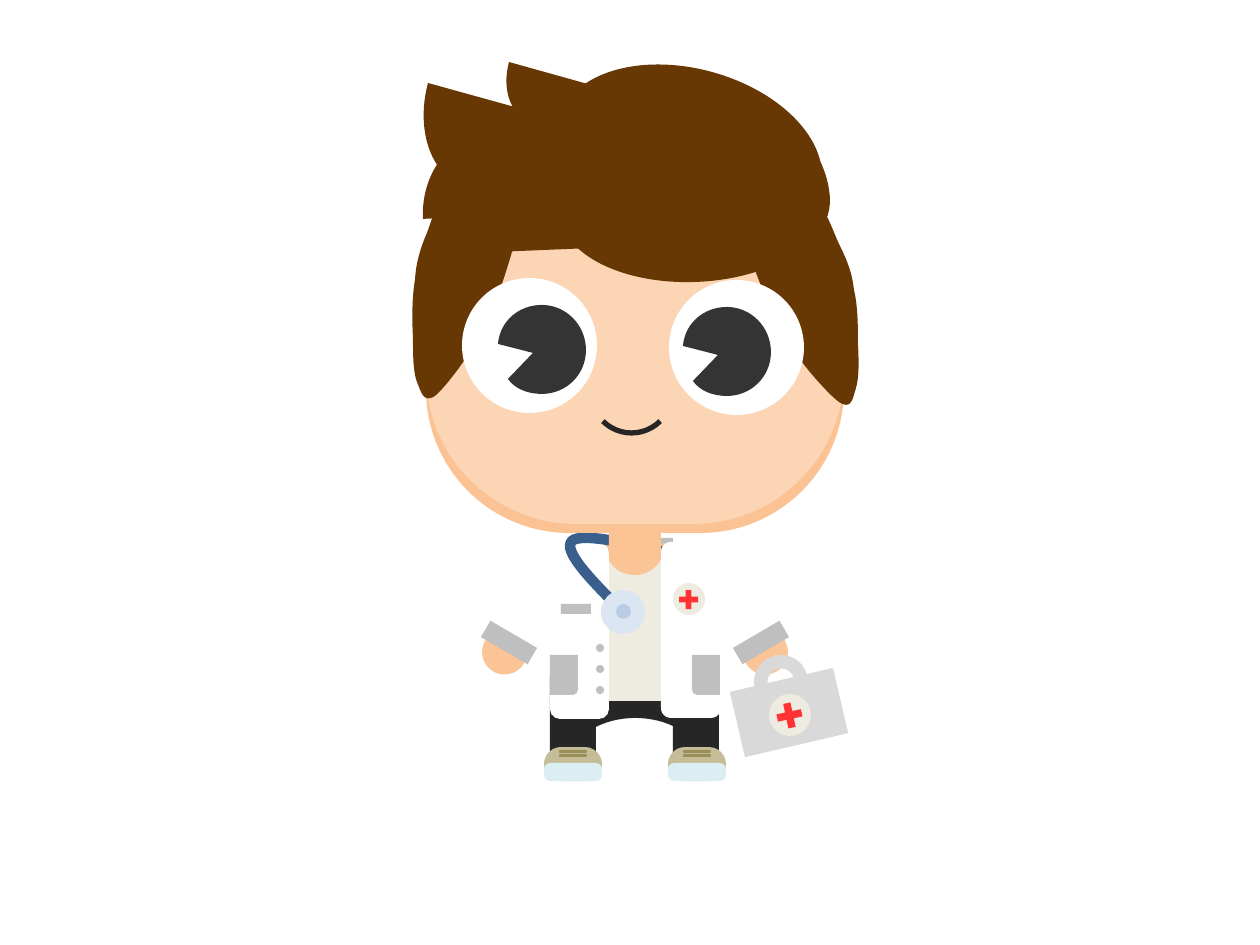
"""Build a slide showing a cartoon doctor with a first-aid case."""
import math
from dataclasses import dataclass, replace

from lxml import etree
from pptx import Presentation
from pptx import util as u
from pptx.dml.color import RGBColor
from pptx.enum import shapes as kinds
from pptx.oxml.ns import qn

PX = 914400 / 126
MIRROR_SUM = 1270
CURVE_STEPS = 24

WHITE = RGBColor(0xFF, 0xFF, 0xFF)
SILVER = RGBColor(0xBF, 0xBF, 0xBF)
CASE_GREY = RGBColor(0xD9, 0xD9, 0xD9)
CREAM = RGBColor(0xEE, 0xEC, 0xE1)
BLACK = RGBColor(0x26, 0x26, 0x26)
PUPIL = RGBColor(0x34, 0x34, 0x34)
SKIN = RGBColor(0xFC, 0xD5, 0xB5)
JAW = RGBColor(0xFB, 0xC2, 0x93)
HAND = RGBColor(0xFB, 0xC4, 0x97)
HAIR = RGBColor(0x68, 0x38, 0x04)
SHOE = RGBColor(0xC4, 0xBD, 0x97)
SOLE = RGBColor(0xDB, 0xEE, 0xF4)
LACE = RGBColor(0x9A, 0x8F, 0x58)
TUBE = RGBColor(0x3A, 0x5F, 0x8C)
DISC = RGBColor(0xDC, 0xE6, 0xF2)
DISC_CORE = RGBColor(0xB9, 0xCD, 0xE5)
RED = RGBColor(0xFF, 0x33, 0x33)

RECT = kinds.MSO_SHAPE.RECTANGLE
ROUND = kinds.MSO_SHAPE.ROUNDED_RECTANGLE
OVAL = kinds.MSO_SHAPE.OVAL
CROSS = kinds.MSO_SHAPE.CROSS
ARC = kinds.MSO_SHAPE.ARC
HANDLE = kinds.MSO_SHAPE.BLOCK_ARC


@dataclass(frozen=True)
class Part:
    """A preset shape, placed in px."""
    kind: kinds.MSO_SHAPE
    left: int
    top: int
    width: int
    height: int
    color: RGBColor
    corner: float | None = None
    rotation: float = 0
    stroke: float = 0

    def shifted(self, dx: int, dy: int = 0) -> "Part":
        return replace(self, left=self.left + dx, top=self.top + dy)

    def mirrored(self) -> "Part":
        return replace(self, left=MIRROR_SUM - self.left - self.width,
                       rotation=-self.rotation % 360)


@dataclass(frozen=True)
class Outline:
    """A path in px: pairs are line ends, sixes are Bezier curves."""
    color: RGBColor
    steps: tuple[tuple[int, ...], ...]
    rotation: float = 0
    stroke: float = 0

    def shifted(self, dx: int, dy: int = 0) -> "Outline":
        return replace(self, steps=tuple(
            tuple(v + (dy if i % 2 else dx) for i, v in enumerate(step)) for step in self.steps))

    def mirrored(self) -> "Outline":
        return replace(self, rotation=-self.rotation % 360, steps=tuple(
            tuple(v if i % 2 else MIRROR_SUM - v for i, v in enumerate(step))
            for step in self.steps))


LEGS = [Part(ROUND, 551, 654, 45, 127, JAW, 0.5), Part(ROUND, 550, 654, 46, 121, BLACK, 0.5)]
TROUSERS = Outline(BLACK, (
    (551, 674), (721, 674), (718, 694, 708, 712, 693, 725), (683, 731), (680, 730),
    (668, 722, 651, 718, 635, 718), (619, 718, 604, 722, 590, 730), (588, 731), (578, 725),
    (563, 712, 553, 694, 551, 674)))
SHIRT = [Part(ROUND, 551, 544, 170, 152, CREAM, 0.208),
         Part(RECT, 551, 667, 170, 21, CREAM), Part(RECT, 551, 688, 170, 13, CREAM)]
NECKLINE = Outline(HAND, (
    (605, 544), (665, 544), (665, 562, 651, 575, 635, 575), (617, 575, 605, 562, 605, 544)))
FOOT = [Part(ROUND, 544, 747, 58, 34, SHOE, 0.5), Part(ROUND, 544, 763, 58, 18, SOLE, 0.341),
        Part(ROUND, 559, 750, 28, 3, LACE, 0.5), Part(ROUND, 559, 754, 28, 3, LACE, 0.5)]
ARM = [Part(ROUND, 500, 559, 45, 120, HAND, 0.5, 208.5),
       Outline(WHITE, ((563, 600), (518, 575), (530, 552, 552, 538, 564, 544),
                       (577, 552, 576, 576, 563, 600)), 208.5),
       Part(RECT, 499, 578, 52, 78, WHITE, rotation=29.7),
       Part(RECT, 482, 633, 54, 19, SILVER, rotation=30.3)]
STETHOSCOPE = Outline(TUBE, (
    (625, 614), (593, 582, 562, 551, 572, 541), (582, 532, 633, 544, 683, 557)), 347.4, 6)
POCKET = Outline(SILVER, (
    (550, 655), (578, 655), (578, 690), (578, 692, 576, 695, 573, 695), (550, 695), (550, 655)))
BUTTONS = [Part(OVAL, 596, 644 + 21 * row, 8, 8, SILVER) for row in range(3)]
FACE = [Part(ROUND, 426, 168, 418, 365, JAW, 0.393), Part(ROUND, 426, 141, 418, 383, SKIN, 0.393)]
HAIR_PARTS = [
    Outline(HAIR, (
        (839, 244), (847, 260, 852, 272, 854, 290), (858, 306, 858, 329, 858, 345),
        (859, 362, 859, 378, 856, 388), (853, 397, 852, 411, 839, 402),
        (828, 394, 800, 363, 784, 336), (769, 310, 752, 262, 746, 246),
        (740, 228, 735, 242, 746, 233), (756, 226, 793, 197, 808, 198),
        (823, 199, 832, 229, 839, 244)), 3.2),
    Outline(HAIR, (
        (427, 233), (420, 249, 416, 263, 415, 280), (412, 297, 412, 320, 413, 338),
        (413, 354, 413, 372, 417, 382), (421, 391, 423, 404, 435, 396),
        (446, 387, 471, 354, 485, 326), (499, 299, 513, 249, 518, 231),
        (524, 213, 528, 227, 518, 218), (508, 210, 470, 181, 455, 184),
        (441, 185, 433, 217, 427, 233)), 354.2),
    Part(OVAL, 559, 130, 271, 152, HAIR, rotation=357.4),
    Outline(HAIR, ((830, 200), (423, 219), (421, 174, 449, 137, 484, 136), (762, 122),
                   (798, 121, 828, 156, 830, 200)), 357.4),
    Outline(HAIR, ((736, 242), (498, 252), (496, 227, 512, 205, 533, 204), (696, 197),
                   (716, 195, 735, 215, 736, 242)), 357.4),
    Part(OVAL, 554, 69, 271, 171, HAIR, rotation=15.4),
    Outline(HAIR, ((822, 192), (428, 83), (415, 131, 432, 178, 466, 186), (735, 261),
                   (770, 271, 808, 239, 822, 192)), 15.4),
    Outline(HAIR, ((738, 126), (509, 62), (501, 91, 512, 117, 532, 123), (688, 166),
                   (708, 171, 731, 151, 738, 126)), 15.4),
]
EYE = Part(OVAL, 462, 278, 135, 135, WHITE)
IRIS = Outline(PUPIL, (
    (542, 305), (566, 305, 586, 325, 586, 350), (586, 375, 566, 394, 542, 394),
    (528, 394, 515, 389, 508, 379), (533, 353), (498, 344), (500, 321, 519, 305, 542, 305)))
MOUTH = [Part(ROUND, 600, 408, 72, 55, SKIN),
         Part(ARC, 591, 352, 81, 81, BLACK, rotation=135, stroke=3)]
BADGE = [Part(OVAL, 673, 583, 32, 32, CREAM), Part(CROSS, 679, 590, 19, 19, RED, 0.352)]
CASE = [Part(RECT, 736, 679, 106, 67, CASE_GREY, rotation=346.9),
        Part(HANDLE, 754, 655, 54, 54, CASE_GREY, rotation=346.9),
        Part(OVAL, 769, 694, 42, 42, CREAM, rotation=348),
        Part(CROSS, 777, 703, 25, 25, RED, 0.352, 348)]
CHEST_PIECE = [Part(OVAL, 601, 590, 44, 44, DISC), Part(OVAL, 616, 604, 15, 15, DISC_CORE)]

DOCTOR = [
    Part(RECT, 600, 538, 73, 15, SILVER),
    *(part.shifted(dx) for part in LEGS for dx in (123, 0)),
    TROUSERS, *SHIRT, NECKLINE,
    *(part.shifted(dx) for dx in (0, 124) for part in FOOT),
    Part(ROUND, 550, 543, 59, 176, WHITE),
    *ARM, STETHOSCOPE, *(part.mirrored() for part in ARM),
    Part(ROUND, 661, 542, 60, 176, WHITE), Part(ROUND, 609, 479, 52, 81, JAW, 0.083),
    POCKET, POCKET.mirrored(), Part(RECT, 561, 604, 30, 10, SILVER), *BUTTONS,
    *FACE, *HAIR_PARTS, EYE, IRIS, EYE.shifted(207, 2), IRIS.shifted(185, 2),
    *MOUTH, *BADGE, *CASE, *CHEST_PIECE,
]


def emu(px: float) -> u.Emu:
    return u.Emu(round(px * PX))


def curve_points(a: complex, b: complex, c: complex, d: complex) -> list[complex]:
    """Sample a Bezier curve to find how far it reaches."""
    ratios = [n / CURVE_STEPS for n in range(CURVE_STEPS + 1)]
    return [a * (1 - t)**3 + 3 * b * (1 - t)**2 * t + 3 * c * (1 - t) * t * t + d * t**3
            for t in ratios]


def add_part(group, part: Part):
    """Add a preset shape to the group."""
    shape = group.shapes.add_shape(
        part.kind, *map(emu, (part.left, part.top, part.width, part.height)))
    if part.corner is not None:
        shape.adjustments[0] = part.corner
    return shape


def add_outline(group, outline: Outline):
    """Add a curved freeform in its unturned frame, centred where its turned path belongs."""
    angle = math.radians(outline.rotation)
    turn = complex(math.cos(angle), math.sin(angle))
    steps = [[complex(*step[i:i + 2]) * turn.conjugate() * PX for i in range(0, len(step), 2)]
             for step in outline.steps]
    reach = [step[-1] for step in steps]
    for before, step in zip(steps, steps[1:]):
        if len(step) == 3:
            reach += curve_points(before[-1], *step)
    xs, ys = [p.real for p in reach], [p.imag for p in reach]
    origin = complex(min(xs), min(ys))
    size = complex(max(xs), max(ys)) - origin
    corner = (origin + size / 2) * turn - size / 2

    builder = group.shapes.build_freeform(*map(round, (corner.real, corner.imag)))
    end = corner + size
    builder.add_line_segments([(round(end.real), round(end.imag))], close=False)
    shape = builder.convert_to_shape()
    path = next(shape.element.iter(qn("a:path")))
    for child in list(path):
        path.remove(child)
    for index, step in enumerate(steps):
        tag = "a:cubicBezTo" if len(step) == 3 else "a:lnTo" if index else "a:moveTo"
        segment = etree.SubElement(path, qn(tag))
        for point in (p - origin for p in step):
            etree.SubElement(segment, qn("a:pt"),
                             x=str(round(point.real)), y=str(round(point.imag)))
    if not outline.stroke:
        etree.SubElement(path, qn("a:close"))
    return shape


def paint(shape, item: Part | Outline) -> None:
    """Apply rotation and either a stroke or a fill."""
    shape.shadow.inherit = False
    shape.rotation = item.rotation
    if item.stroke:
        shape.fill.background()
        shape.line.color.rgb = item.color
        shape.line.width = u.Pt(item.stroke)
    else:
        shape.fill.solid()
        shape.fill.fore_color.rgb = item.color
        shape.line.fill.background()


def main() -> None:
    deck = Presentation()
    for name, value in {"slide_width": emu(1260), "slide_height": emu(945)}.items():
        setattr(deck, name, value)
    page = deck.slides.add_slide(deck.slide_layouts[6])
    group = page.shapes.add_group_shape()
    for item in DOCTOR:
        add = add_part if isinstance(item, Part) else add_outline
        paint(add(group, item), item)
    deck.save("out.pptx")


if __name__ == "__main__":
    main()
